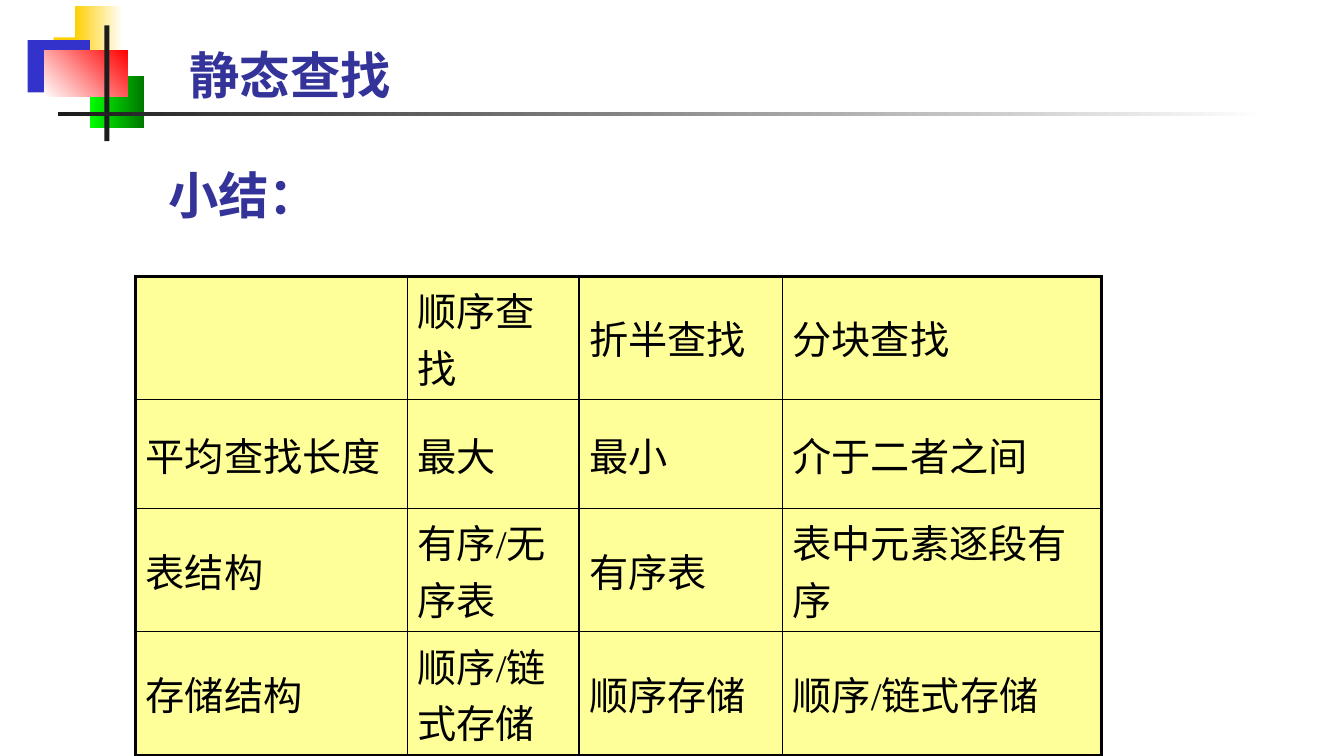
"""Builds a summary slide comparing three static search methods."""
from lxml.etree import SubElement
from pptx import Presentation
from pptx.dml.color import RGBColor
from pptx.enum.shapes import MSO_SHAPE
from pptx.enum.text import MSO_ANCHOR
from pptx.oxml.ns import qn
from pptx.util import Cm, Pt

GOLD = RGBColor(0xFF, 0xCF, 0x01)
WHITE = RGBColor(0xFF, 0xFF, 0xFF)
BLUE = RGBColor(0x33, 0x33, 0xCC)
LIME = RGBColor(0x00, 0xFF, 0x00)
GREEN = RGBColor(0x00, 0x78, 0x00)
RED = RGBColor(0xFF, 0x00, 0x00)
DARK = RGBColor(0x1C, 0x1C, 0x1C)
NAVY = RGBColor(0x33, 0x33, 0x99)
CREAM = RGBColor(0xFF, 0xFF, 0x99)
BLACK = RGBColor(0x00, 0x00, 0x00)

BLOCKS = [
    ((1.35, 0.94, 1.63, 1.32), [GOLD], 0),
    ((1.88, 0.15, 1.22, 1.32), [GOLD, WHITE], 0),
    ((0.7, 1.01, 1.57, 1.32), [BLUE], 0),
    ((2.26, 1.91, 1.37, 1.32), [LIME, GREEN], 0),
    ((1.12, 1.27, 2.1, 1.17), [WHITE, RED], 45),
    ((2.63, 0.64, 0.13, 2.92), [DARK], 0),
    ((1.46, 2.82, 30.48, 0.1), [DARK, WHITE], 0),
]
COLS = [6.85, 4.32, 5.13, 8.03]
ROWS = [3.11, 2.74, 3.11, 3.11]
CELLS = [
    ["", "顺序查找", "折半查找", "分块查找"],
    ["平均查找长度", "最大", "最小", "介于二者之间"],
    ["表结构", "有序/无序表", "有序表", "表中元素逐段有序"],
    ["存储结构", "顺序/链式存储", "顺序存储", "顺序/链式存储"],
]


class Deck:
    """Holds the style and the current slide."""

    head_font, body_font = "Arial Narrow", "Times New Roman"
    head_size, body_size = Pt(36), Pt(28)
    thin, thick = Pt(1), Pt(2.25)

    def __init__(self):
        self.prs = Presentation()
        self.prs.slide_width, self.prs.slide_height = Cm(33.87), Cm(19.05)
        self.slide = self.prs.slides.add_slide(self.prs.slide_layouts[6])

    def block(self, place, colors, angle):
        """Draws a plain or graded rectangle."""
        shape = self.slide.shapes.add_shape(MSO_SHAPE.RECTANGLE, *map(Cm, place))
        shape.shadow.inherit = False
        shape.line.fill.background()
        if len(colors) == 1:
            shape.fill.solid()
            shape.fill.fore_color.rgb = colors[0]
            return
        shape.fill.gradient()
        shape.fill.gradient_angle = angle
        for pos, (stop, color) in enumerate(zip(shape.fill.gradient_stops, colors)):
            stop.position = pos
            stop.color.rgb = color

    def style(self, frame, name, size, color, bold):
        """Formats all runs of a text frame."""
        for para in frame.paragraphs:
            for run in para.runs:
                font = run.font
                font.name, font.size, font.bold = name, size, bold
                font.color.rgb = color

    def title(self, text, place, inset=0.25):
        """Adds a bold heading that sits at the bottom of its box."""
        frame = self.slide.shapes.add_textbox(*map(Cm, place)).text_frame
        frame.word_wrap = True
        frame.vertical_anchor = MSO_ANCHOR.BOTTOM
        frame.margin_left = Cm(inset)
        frame.text = text
        self.style(frame, self.head_font, self.head_size, NAVY, True)

    def edge(self, cell, side, width):
        """Sets one border of a cell."""
        line = SubElement(cell._tc.get_or_add_tcPr(), qn("a:ln" + side), w=str(width))
        fill = SubElement(line, qn("a:solidFill"))
        SubElement(fill, qn("a:srgbClr"), val=str(BLACK))

    def table(self, left, top, cols, rows, cells):
        """Adds a table with thin inner and thick outer lines."""
        frame = self.slide.shapes.add_table(
            len(rows), len(cols), Cm(left), Cm(top), Cm(sum(cols)), Cm(sum(rows)))
        grid = frame.table
        grid.first_row = grid.horz_banding = False
        for col, width in zip(grid.columns, cols):
            col.width = Cm(width)
        for row, height in zip(grid.rows, rows):
            row.height = Cm(height)
        for r, texts in enumerate(cells):
            for c, text in enumerate(texts):
                cell = grid.cell(r, c)
                outer = {"L": c == 0, "R": c == len(cols) - 1,
                         "T": r == 0, "B": r == len(rows) - 1}
                for side, is_outer in outer.items():
                    self.edge(cell, side, self.thick if is_outer else self.thin)
                cell.fill.solid()
                cell.fill.fore_color.rgb = CREAM
                cell.vertical_anchor = MSO_ANCHOR.MIDDLE
                cell.text_frame.text = text
                self.style(cell.text_frame, self.body_font, self.body_size, BLACK, False)


def main():
    """Builds and saves the slide."""
    deck = Deck()
    for place, colors, angle in BLOCKS:
        deck.block(place, colors, angle)
    deck.title("小结：", (3.43, 3.91, 21.59, 1.88), inset=0.81)
    deck.table(3.42, 6.96, COLS, ROWS, CELLS)
    deck.title("静态查找", (4.52, 0.64, 28.85, 2.11))
    deck.prs.save("out.pptx")


if __name__ == "__main__":
    main()
